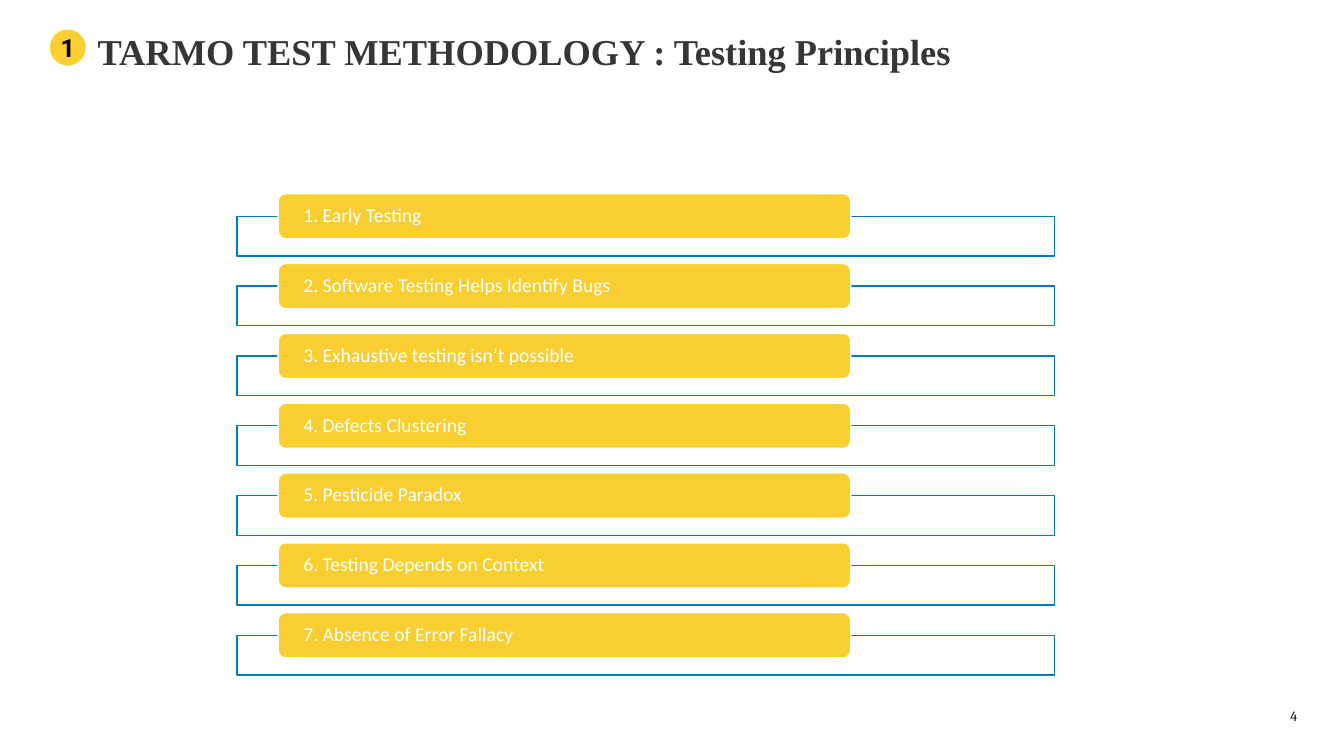
"""Build the slide of seven testing principles."""
from pptx import Presentation
from pptx.dml.color import RGBColor
from pptx.enum.shapes import MSO_SHAPE
from pptx.enum.text import MSO_ANCHOR, MSO_AUTO_SIZE, PP_ALIGN
from pptx.util import Cm, Pt


def paint(shape, fill, line, width):
    shape.shadow.inherit = False
    shape.fill.solid()
    shape.fill.fore_color.rgb = RGBColor.from_string(fill)
    shape.line.color.rgb = RGBColor.from_string(line)
    shape.line.width = Pt(width)


def write(shape, text, size, font, color, bold=False, align=PP_ALIGN.LEFT,
          space=1.0, side=0.25, edge=0.13, wrap=True):
    frame = shape.text_frame
    frame.auto_size = MSO_AUTO_SIZE.NONE
    frame.word_wrap = wrap
    frame.vertical_anchor = MSO_ANCHOR.MIDDLE
    frame.margin_left = frame.margin_right = Cm(side)
    frame.margin_top = frame.margin_bottom = Cm(edge)
    para = frame.paragraphs[0]
    para.alignment = align
    para.line_spacing = space
    run = para.add_run()
    run.text = text
    run.font.size = Pt(size)
    run.font.name = font
    run.font.bold = bold
    run.font.color.rgb = RGBColor.from_string(color)


deck = Presentation()
deck.slide_width, deck.slide_height = Cm(33.87), Cm(19.05)
slide = deck.slides.add_slide(deck.slide_layouts[5])
shapes = slide.shapes

title = shapes.title
title.left, title.top, title.width, title.height = Cm(2.21), Cm(0.56), Cm(28.14), Cm(1.3)
write(title, "TARMO TEST METHODOLOGY : Testing Principles", 26,
      "Times New Roman", "373535", bold=True, space=Pt(35))

badge = shapes.add_shape(MSO_SHAPE.OVAL, Cm(1.2), Cm(0.69), Cm(1.02), Cm(1.02))
paint(badge, "FBCF31", "FFFFFF", 3)
write(badge, "1", 18, "Roboto", "000000", bold=True, align=PP_ALIGN.CENTER,
      side=0.2, edge=0.2, wrap=False)

rules = [
    "Early Testing",
    "Software Testing Helps Identify Bugs",
    "Exhaustive testing isn’t possible",
    "Defects Clustering",
    "Pesticide Paradox",
    "Testing Depends on Context",
    "Absence of Error Fallacy",
]
for row, rule in enumerate(rules):
    top = 4.88 + row * 1.76
    frame = shapes.add_shape(MSO_SHAPE.RECTANGLE, Cm(5.97), Cm(top + 0.57), Cm(20.6), Cm(1))
    paint(frame, "FFFFFF", "007BC1", 1)
    bar = shapes.add_shape(MSO_SHAPE.ROUNDED_RECTANGLE, Cm(7.01), Cm(top), Cm(14.43), Cm(1.14))
    paint(bar, "F8CE30", "FFFFFF", 1)
    write(bar, f"{row + 1}. {rule}", 14, "Calibri", "FFFFFF", space=0.9, side=0.58, edge=0)

page = shapes.add_textbox(Cm(30.91), Cm(17.7), Cm(2.03), Cm(0.69))
write(page, "4", 10, "Cambria", "000000", align=PP_ALIGN.RIGHT)

deck.save("out.pptx")
